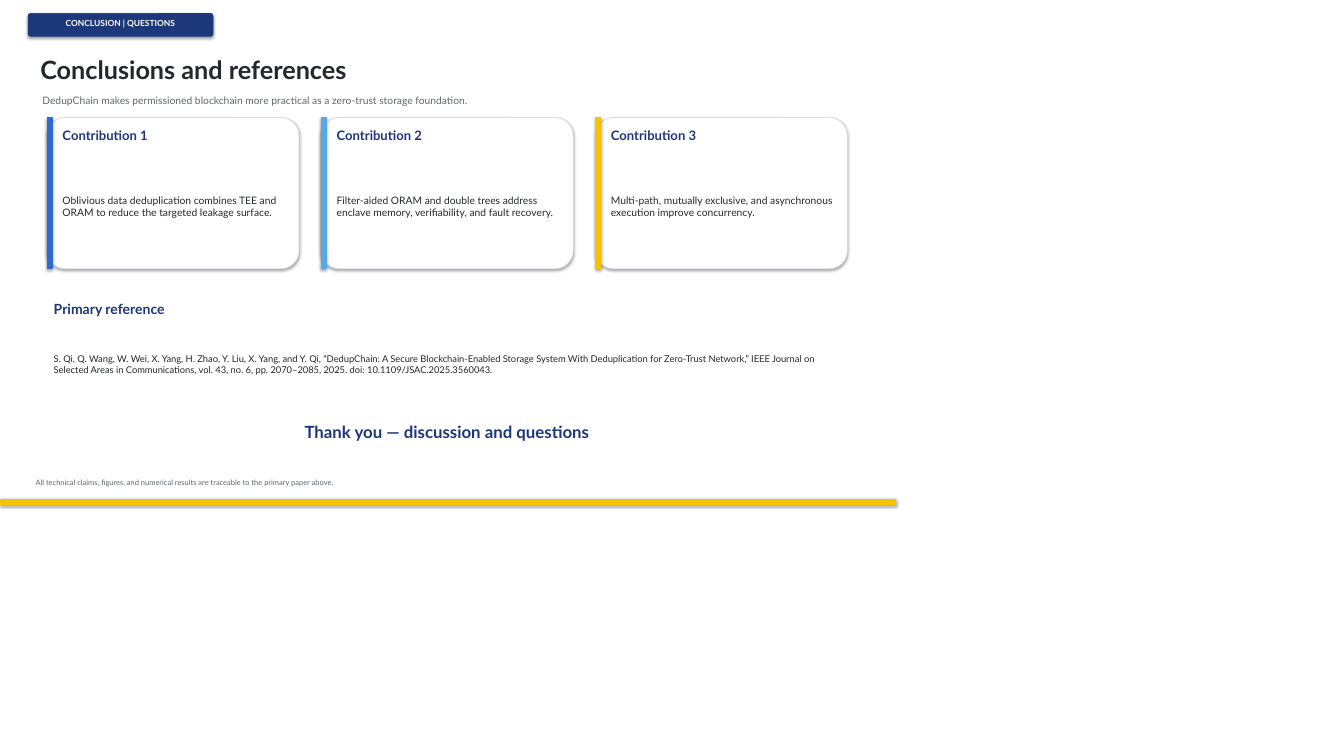
from pptx import Presentation
from pptx.dml.color import RGBColor
from pptx.enum.shapes import MSO_SHAPE
from pptx.enum.text import MSO_ANCHOR, MSO_AUTO_SIZE, PP_ALIGN
from pptx.util import Pt

RECTANGLE = MSO_SHAPE.RECTANGLE
ROUNDED = MSO_SHAPE.ROUNDED_RECTANGLE
MIDDLE = MSO_ANCHOR.MIDDLE
FIT_SHAPE = MSO_AUTO_SIZE.SHAPE_TO_FIT_TEXT
LEFT = PP_ALIGN.LEFT
CENTER = PP_ALIGN.CENTER

PX = 9144
FONT = "Lato"
NAVY = "1C377A"
INK = "23272F"
GRAY = "5F6673"
YELLOW = "F5C400"
WHITE = "FFFFFF"

presentation = Presentation()
presentation.slide_width = 2000 * PX
presentation.slide_height = 1125 * PX
slide = presentation.slides.add_slide(presentation.slide_layouts[5])


def add_block(kind, left, top, width, height, fill, line):
    shape = slide.shapes.add_shape(kind, left * PX, top * PX, width * PX, height * PX)
    if kind == ROUNDED:
        shape.adjustments[0] = 0.12
    shape.fill.solid()
    shape.fill.fore_color.rgb = RGBColor.from_string(fill)
    shape.line.color.rgb = RGBColor.from_string(line)
    shape.line.width = Pt(0.75)


def add_text(left, top, width, height, text, size, color, bold=False, align=LEFT, shape=None):
    if shape is None:
        shape = slide.shapes.add_textbox(0, 0, 0, 0)
    shape.left, shape.top = left * PX, top * PX
    shape.width, shape.height = width * PX, height * PX
    frame = shape.text_frame
    frame.text = text
    frame.word_wrap = True
    frame.auto_size = FIT_SHAPE
    frame.vertical_anchor = MIDDLE
    frame.margin_left = frame.margin_right = 5 * PX
    frame.margin_top = frame.margin_bottom = 5 * PX
    paragraph = frame.paragraphs[0]
    paragraph.alignment = align
    font = paragraph.runs[0].font
    font.name = FONT
    font.size = Pt(size)
    font.bold = bold
    font.color.rgb = RGBColor.from_string(color)


add_block(ROUNDED, 42, 20, 275, 34, NAVY, NAVY)
add_text(50, 20, 258, 28, "CONCLUSION | QUESTIONS", 9, WHITE, True, CENTER)
add_text(55, 72, 880, 62, "Conclusions and references", 27, INK, True, shape=slide.shapes.title)
add_text(58, 134, 840, 32,
         "DedupChain makes permissioned blockchain more practical as a zero-trust storage foundation.",
         11, GRAY)

contributions = [
    ("2F6BCE", "Oblivious data deduplication combines TEE and ORAM to reduce the targeted leakage surface."),
    ("56A9E6", "Filter-aided ORAM and double trees address enclave memory, verifiability, and fault recovery."),
    (YELLOW, "Multi-path, mutually exclusive, and asynchronous execution improve concurrency."),
]
for index, (accent, summary) in enumerate(contributions):
    left = 70 + 408 * index
    add_block(ROUNDED, left, 175, 375, 225, WHITE, "D7DCE6")
    add_block(RECTANGLE, left, 175, 8, 225, accent, accent)
    add_text(left + 18, 187, 345, 28, f"Contribution {index + 1}", 14, NAVY, True)
    add_text(left + 18, 223, 345, 168, summary, 11, INK)

add_text(75, 445, 230, 30, "Primary reference", 15, NAVY, True)
add_text(75, 482, 1180, 120,
         "S. Qi, Q. Wang, W. Wei, X. Yang, H. Zhao, Y. Liu, X. Yang, and Y. Qi, “DedupChain: A Secure "
         "Blockchain-Enabled Storage System With Deduplication for Zero-Trust Network,” IEEE Journal on "
         "Selected Areas in Communications, vol. 43, no. 6, pp. 2070–2085, 2025. "
         "doi: 10.1109/JSAC.2025.3560043.",
         10, INK)
add_text(75, 625, 1180, 35, "Thank you — discussion and questions", 18, NAVY, True, CENTER)

add_block(RECTANGLE, 0, 743, 1333, 7, YELLOW, YELLOW)
add_text(48, 707, 760, 22,
         "All technical claims, figures, and numerical results are traceable to the primary paper above.",
         8, GRAY)

presentation.save("out.pptx")
